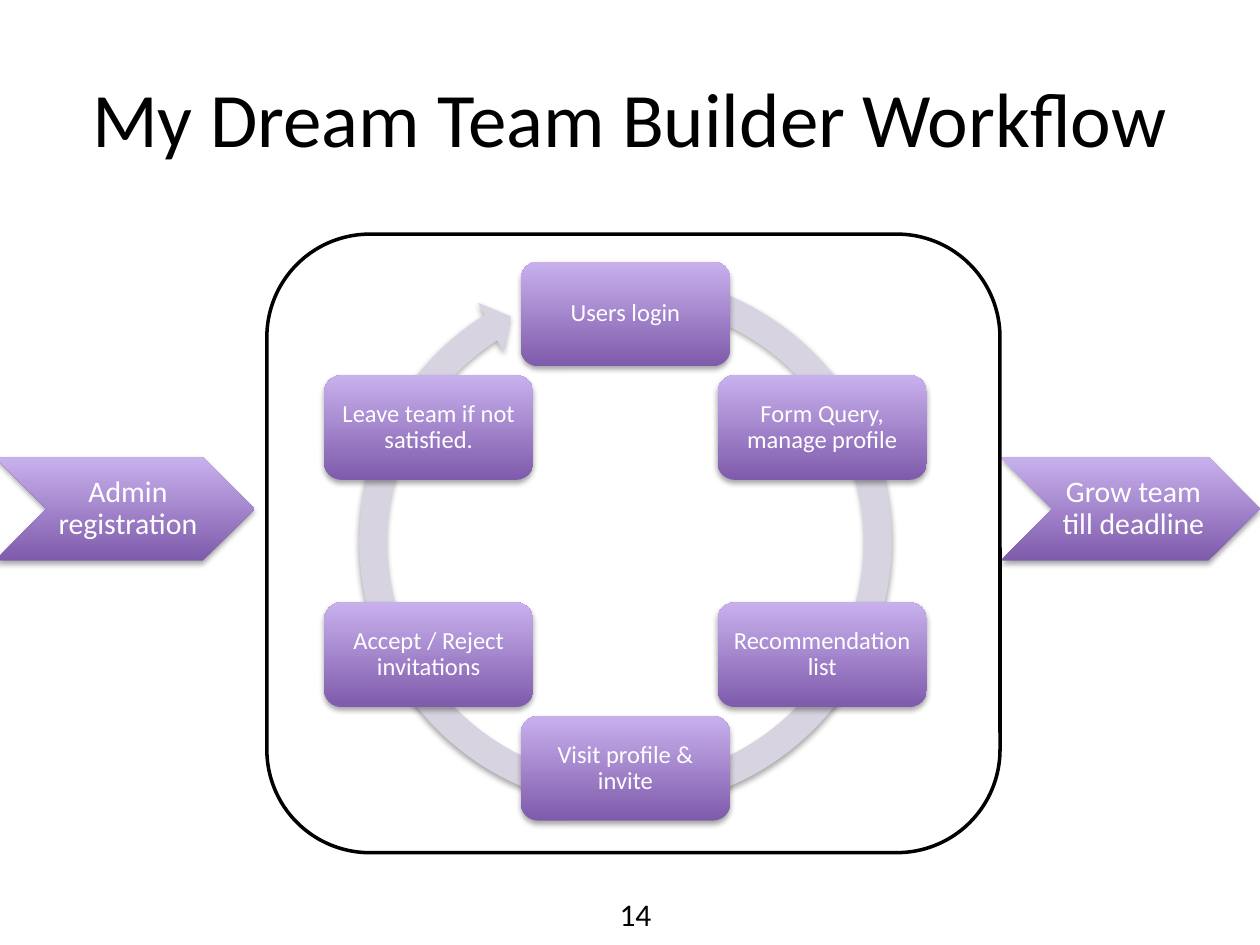
import math

import pptx
import pptx.dml.color
import pptx.enum.shapes
import pptx.enum.text
import pptx.oxml
import pptx.oxml.ns
import pptx.util

Cm, Pt = pptx.util.Cm, pptx.util.Pt
Shape = pptx.enum.shapes.MSO_SHAPE
Align = pptx.enum.text.PP_ALIGN
Anchor = pptx.enum.text.MSO_ANCHOR

HUES = {
    "ink": "000000",
    "paper": "FFFFFF",
    "dark": "7F5BAB",
    "light": "C8B0ED",
    "ring": "D8D3E0",
}
STEPS = [
    "Users login",
    "Form Query, manage profile",
    "Recommendation list",
    "Visit profile & invite",
    "Accept / Reject invitations",
    "Leave team if not satisfied.",
]
MID_X, MID_Y = 12.61, 10.91
ORBIT = 4.58
RING = 11.3
BOX_W, BOX_H = 4.22, 2.11


def hue(name):
    return pptx.dml.color.RGBColor.from_string(HUES[name])


class Deck:
    """Holds the font and the current slide, and draws on it."""

    def __init__(self, slide, font="Calibri"):
        self.slide = slide
        self.font = font

    def label(self, frame, text, size, color, align=Align.CENTER):
        para = frame.paragraphs[0]
        para.alignment = align
        run = para.add_run()
        run.text = text
        run.font.name = self.font
        run.font.size = Pt(size)
        run.font.color.rgb = hue(color)
        return para

    def title(self, text, x, y, w, h):
        head = self.slide.shapes.title
        head.left, head.top, head.width, head.height = Cm(x), Cm(y), Cm(w), Cm(h)
        head.text_frame.vertical_anchor = Anchor.MIDDLE
        self.label(head.text_frame, text, 44, "ink")

    def shape(self, kind, x, y, w, h):
        """Add a preset shape with no fill, line or shadow."""
        item = self.slide.shapes.add_shape(kind, Cm(x), Cm(y), Cm(w), Cm(h))
        item.shadow.inherit = False
        item.fill.background()
        item.line.fill.background()
        return item

    def shade(self, item):
        """Drop a soft shadow straight down."""
        space = pptx.oxml.ns.nsdecls("a")
        effects = item._element.spPr.find(pptx.oxml.ns.qn("a:effectLst"))
        effects.append(pptx.oxml.parse_xml(
            f'<a:outerShdw {space} blurRad="40000" dist="23000" dir="5400000" '
            f'rotWithShape="0"><a:srgbClr val="{HUES["ink"]}">'
            '<a:alpha val="35000"/></a:srgbClr></a:outerShdw>'))

    def ring(self, x, y, size):
        item = self.shape(Shape.CIRCULAR_ARROW, x, y, size, size)
        for i, value in enumerate((0.05, 3.13, 142.65, 171.06, 0.05)):
            item.adjustments[i] = value
        item.fill.solid()
        item.fill.fore_color.rgb = hue("ring")
        self.shade(item)

    def node(self, kind, text, size, x, y, w, h, pads):
        """Add a purple shape with a label; pads are left, top, right, bottom."""
        item = self.shape(kind, x, y, w, h)
        item.fill.gradient()
        item.fill.gradient_angle = 90
        for stop, name in zip(item.fill.gradient_stops, ("dark", "light")):
            stop.color.rgb = hue(name)
        self.shade(item)
        frame = item.text_frame
        frame.word_wrap = True
        frame.vertical_anchor = Anchor.MIDDLE
        (frame.margin_left, frame.margin_top,
         frame.margin_right, frame.margin_bottom) = map(Cm, pads)
        self.label(frame, text, size, "paper").line_spacing = 0.9

    def step(self, text, x, y):
        self.node(Shape.ROUNDED_RECTANGLE, text, 14, x, y, BOX_W, BOX_H, [0.15] * 4)

    def stage(self, text, x):
        self.node(Shape.CHEVRON, text, 17, x, 9.22, 5.23, 2.08,
                  (0.18, 0.05, 0.05, 0.05))

    def frame(self, x, y, w, h):
        item = self.shape(Shape.ROUNDED_RECTANGLE, x, y, w, h)
        item.line.color.rgb = hue("ink")
        item.line.width = Pt(2)

    def number(self, text, x, y, w, h):
        box = self.slide.shapes.add_textbox(Cm(x), Cm(y), Cm(w), Cm(h))
        box.text_frame.word_wrap = False
        box.text_frame.auto_size = pptx.enum.text.MSO_AUTO_SIZE.SHAPE_TO_FIT_TEXT
        self.label(box.text_frame, text, 18, "ink", Align.LEFT)


def main():
    show = pptx.Presentation()
    show.slide_width, show.slide_height = Cm(25.4), Cm(19.05)
    deck = Deck(show.slides.add_slide(show.slide_layouts[5]))

    deck.title("My Dream Team Builder Workflow", 1.27, 0.76, 22.86, 3.18)
    deck.ring(MID_X - RING / 2, MID_Y - RING / 2, RING)
    for i, text in enumerate(STEPS):
        turn = math.tau * i / len(STEPS)
        deck.step(text,
                  MID_X + ORBIT * math.sin(turn) - BOX_W / 2,
                  MID_Y - ORBIT * math.cos(turn) - BOX_H / 2)
    deck.stage("Admin registration", -0.1)
    deck.stage("Grow team till deadline", 20.17)
    deck.frame(5.38, 4.72, 14.78, 12.47)
    deck.number("14", 12.24, 17.91, 1.17, 1.02)

    show.save("out.pptx")


if __name__ == "__main__":
    main()
